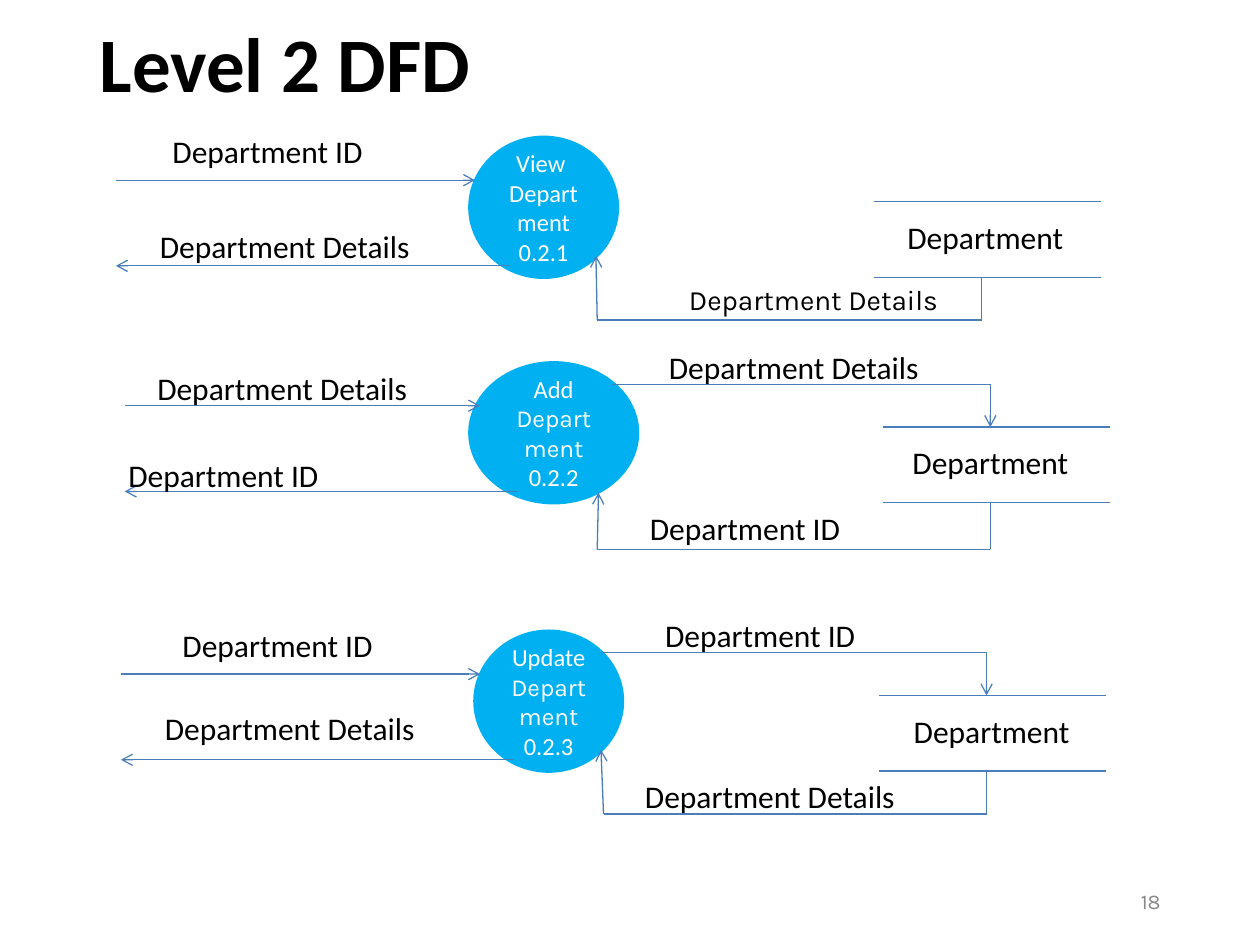
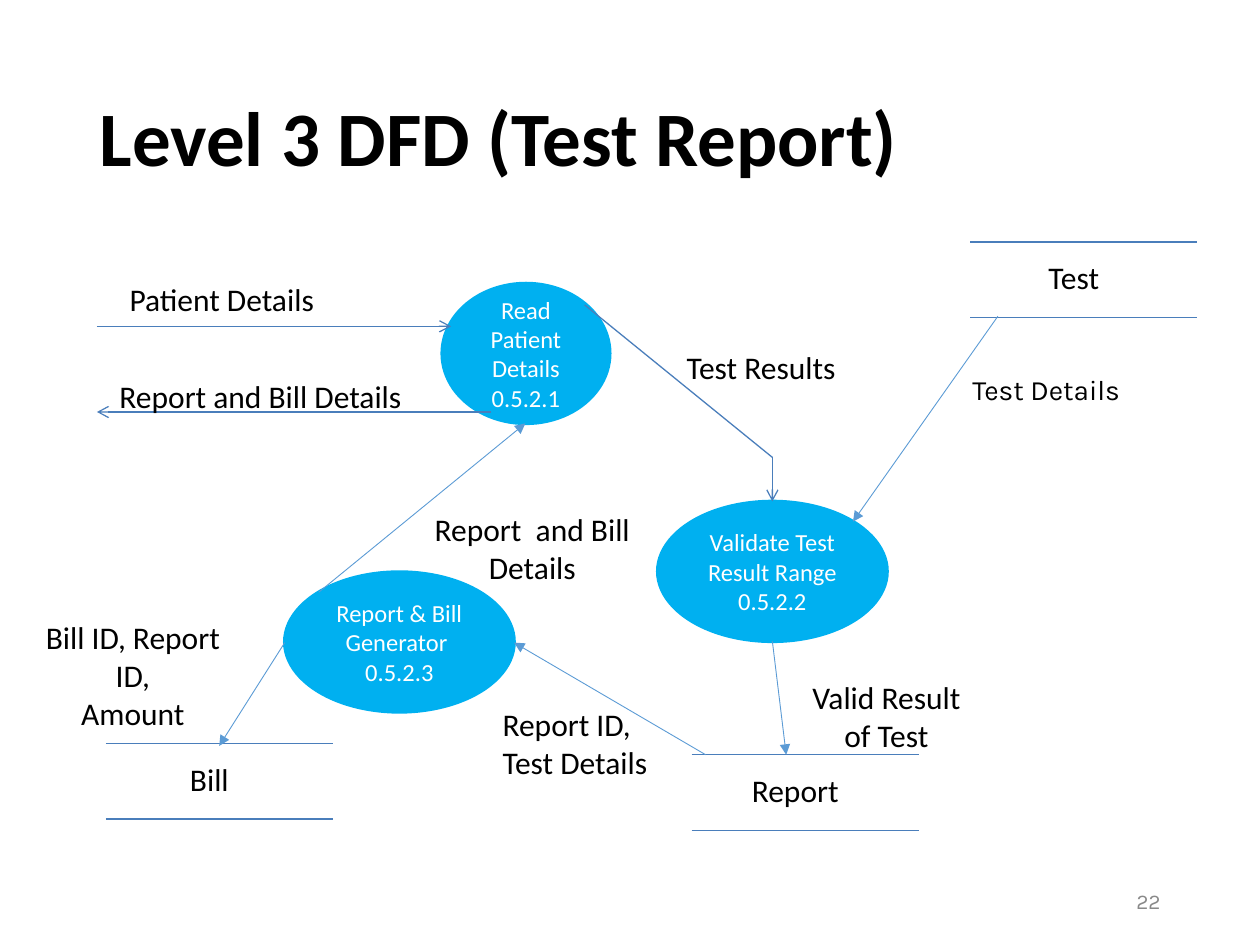
import pptx
import pptx.dml.color
import pptx.enum.shapes
import pptx.enum.text
import pptx.oxml.ns
import pptx.util
from lxml import etree

Inches = pptx.util.Inches
Pt = pptx.util.Pt
RGBColor = pptx.dml.color.RGBColor
ALIGN = pptx.enum.text.PP_ALIGN
ANCHOR = pptx.enum.text.MSO_ANCHOR
qn = pptx.oxml.ns.qn

BLACK = RGBColor(0x00, 0x00, 0x00)
WHITE = RGBColor(0xFF, 0xFF, 0xFF)
GRAY = RGBColor(0x89, 0x89, 0x89)
CYAN = RGBColor(0x00, 0xB0, 0xF0)
BLUE = RGBColor(0x4A, 0x7E, 0xBB)
LIGHT_BLUE = RGBColor(0x5B, 0x9B, 0xD5)
CALIBRI = "Calibri"
KARLA = "Karla"

PROCESS_H = 1.11
STORE_W = 1.8
STORE_H = 0.6
STORE_TEXT_W = 1.72


def box(x, y, w, h):
    return Inches(x), Inches(y), Inches(w), Inches(h)


def write(tf, paragraphs, size, color, align, font=CALIBRI):
    tf.word_wrap = True
    for i, content in enumerate(paragraphs):
        p = tf.paragraphs[0] if i == 0 else tf.add_paragraph()
        p.alignment = align
        p.font.size = Pt(size)
        p.font.color.rgb = color
        runs = [(content, font)] if isinstance(content, str) else content
        if len(runs) == 1:
            p.font.name = runs[0][1]
        for text, name in runs:
            r = p.add_run()
            r.text = text
            if len(runs) > 1:
                r.font.name = name


def add_label(s, x, y, w, *lines, align=ALIGN.LEFT, size=18, font=CALIBRI, h=0.4):
    tb = s.shapes.add_textbox(*box(x, y, w, h))
    write(tb.text_frame, lines, size, BLACK, align, font)


def add_line(s, start, end, head=None, color=BLUE, width=0.75):
    c = s.shapes.add_connector(
        pptx.enum.shapes.MSO_CONNECTOR.STRAIGHT,
        *(Inches(v) for v in (*start, *end)))
    c.line.color.rgb = color
    c.line.width = Pt(width)
    spPr = c._element.spPr
    if head:
        etree.SubElement(spPr.find(qn("a:ln")), qn("a:tailEnd"), type=head)
    etree.SubElement(spPr, qn("a:effectLst"))


def add_path(s, *points):
    for start, end in zip(points[:-2], points[1:-1]):
        add_line(s, start, end)
    add_line(s, points[-2], points[-1], "arrow")


def add_link(s, start, end):
    add_line(s, start, end, "triangle", LIGHT_BLUE, 0.5)


def add_process(s, x, y, w, *lines):
    sp = s.shapes.add_shape(
        pptx.enum.shapes.MSO_SHAPE.FLOWCHART_CONNECTOR, *box(x, y, w, PROCESS_H))
    sp.shadow.inherit = False
    sp.fill.solid()
    sp.fill.fore_color.rgb = CYAN
    sp.line.color.rgb = CYAN
    sp.line.width = Pt(2)
    sp.text_frame.vertical_anchor = ANCHOR.MIDDLE
    write(sp.text_frame, lines, 14, WHITE, ALIGN.CENTER)


def add_store(s, x, y, name, text_shift=-0.01):
    for line_y in (y, y + STORE_H):
        add_line(s, (x, line_y), (x + STORE_W, line_y))
    add_label(s, x + text_shift, y + 0.08, STORE_TEXT_W, name, align=ALIGN.CENTER)


def add_user_flows(s, left, top, in_length=2.85, out_length=3.12):
    add_line(s, (left, top + 0.34), (left + in_length, top + 0.34), "arrow")
    add_line(s, (left + out_length, top + 1.02), (left, top + 1.02), "arrow")


def add_department_row(s, left, top, process, return_x, tip, drop=1.45,
                       in_length=2.85, text_shift=-0.01, send_x=None):
    x, w, lines = process
    add_process(s, x, top, w, *lines)
    add_user_flows(s, left, top, in_length)
    store_x, store_y, riser_x = left + 6.02, top + 0.51, left + 6.87
    add_store(s, store_x, store_y, "Department", text_shift)
    if send_x:
        send_y = top + 0.17
        add_path(s, (send_x, send_y), (riser_x, send_y), (riser_x, store_y))
    add_path(s, (riser_x, store_y + STORE_H), (riser_x, top + drop),
             (return_x, top + drop), tip)


def add_slide(prs, title, title_y, number):
    s = prs.slides.add_slide(prs.slide_layouts[5])
    sp = s.shapes.title
    sp.left, sp.top, sp.width, sp.height = box(0.69, title_y, 8.63, 1.45)
    tf = sp.text_frame
    tf.vertical_anchor = ANCHOR.MIDDLE
    write(tf, [title], 44, BLACK, ALIGN.LEFT)
    tf.paragraphs[0].font.bold = True
    tf.paragraphs[0].line_spacing = 0.9
    tb = s.shapes.add_textbox(*box(7.06, 6.95, 2.25, 0.4))
    tb.text_frame.vertical_anchor = ANCHOR.MIDDLE
    write(tb.text_frame, [number], 12, GRAY, ALIGN.RIGHT, KARLA)
    return s


def build_level_2(prs):
    s = add_slide(prs, "Level 2 DFD", -0.19, "18")
    dept_id, details = "Department ID", "Department Details"
    karla_name = ("Department", KARLA)

    add_department_row(s, 0.92, 1.09, (3.73, 1.17, ["View ", "Department", "0.2.1"]),
                       4.74, (4.73, 2.03), text_shift=0.02)
    add_department_row(s, 0.99, 2.88,
                       (3.73, 1.33, [[("Add ", CALIBRI), karla_name], "0.2.2"]),
                       4.74, (4.75, 3.91), drop=1.48, in_length=2.82, send_x=4.86)
    add_department_row(s, 0.96, 5.01, (3.77, 1.17, ["Update", [karla_name], "0.2.3"]),
                       4.79, (4.77, 5.95), text_shift=0.03, send_x=4.77)

    for x, y, w, text in [
        (1.27, 1, 3.09, dept_id), (1.17, 1.75, 3.2, details),
        (1.15, 2.88, 2.73, details), (0.92, 3.57, 3.2, dept_id),
        (5.21, 2.71, 3.13, details), (5.06, 3.99, 1.87, dept_id),
        (1.35, 4.92, 2.73, dept_id), (1.21, 5.58, 3.2, details),
        (5.18, 4.84, 3.13, dept_id), (5.02, 6.12, 2.65, details),
    ]:
        add_label(s, x, y, w, text)
    add_label(s, 5.37, 2.19, 2.46, details, size=16, font=KARLA)


def build_level_3(prs):
    s = add_slide(prs, "Level 3 DFD (Test Report)", 0.4, "22")
    add_process(s, 3.51, 2.25, 1.33, "Read Patient Details", "0.5.2.1")
    add_process(s, 5.22, 3.98, 1.82, "Validate Test Result Range", "0.5.2.2")
    add_process(s, 2.26, 4.54, 1.82, "Report & Bill Generator ", "0.5.2.3")
    add_user_flows(s, 0.77, 2.25, 2.81, 3.13)
    add_path(s, (4.64, 2.42), (6.13, 3.63), (6.13, 3.98))

    add_store(s, 5.49, 5.99, "Report ")
    add_store(s, 7.7, 1.92, "Test ")
    add_store(s, 0.84, 5.9, "Bill ")

    for start, end in [
        ((6.13, 5.09), (6.24, 5.99)),
        ((5.6, 5.99), (4.08, 5.1)),
        ((2.53, 4.7), (4.17, 3.36)),
        ((7.92, 2.51), (6.77, 4.14)),
        ((2.26, 5.1), (1.74, 5.92)),
    ]:
        add_link(s, start, end)

    add_label(s, 0.93, 2.17, 2.73, "Patient Details")
    add_label(s, 0.85, 2.94, 3.2, "Report and Bill Details")
    add_label(s, 5.35, 2.71, 3.12, "Test Results")
    add_label(s, 3.89, 5.55, 1.88, "Report ID,", "Test Details", h=0.7)
    add_label(s, 6.24, 5.33, 1.59, "Valid Result of Test", align=ALIGN.CENTER, h=0.7)
    add_label(s, 3.29, 4, 1.87, "Report  and Bill Details", align=ALIGN.CENTER, h=0.7)
    add_label(s, 7.62, 2.91, 1.5, "Test Details", size=16, font=KARLA)
    add_label(s, 0.12, 4.86, 1.87, "Bill ID, Report ID,", "Amount",
              align=ALIGN.CENTER, h=1)


def main():
    prs = pptx.Presentation()
    prs.slide_width, prs.slide_height = Inches(10), Inches(7.5)
    build_level_2(prs)
    build_level_3(prs)
    prs.save("out.pptx")


if __name__ == "__main__":
    main()
